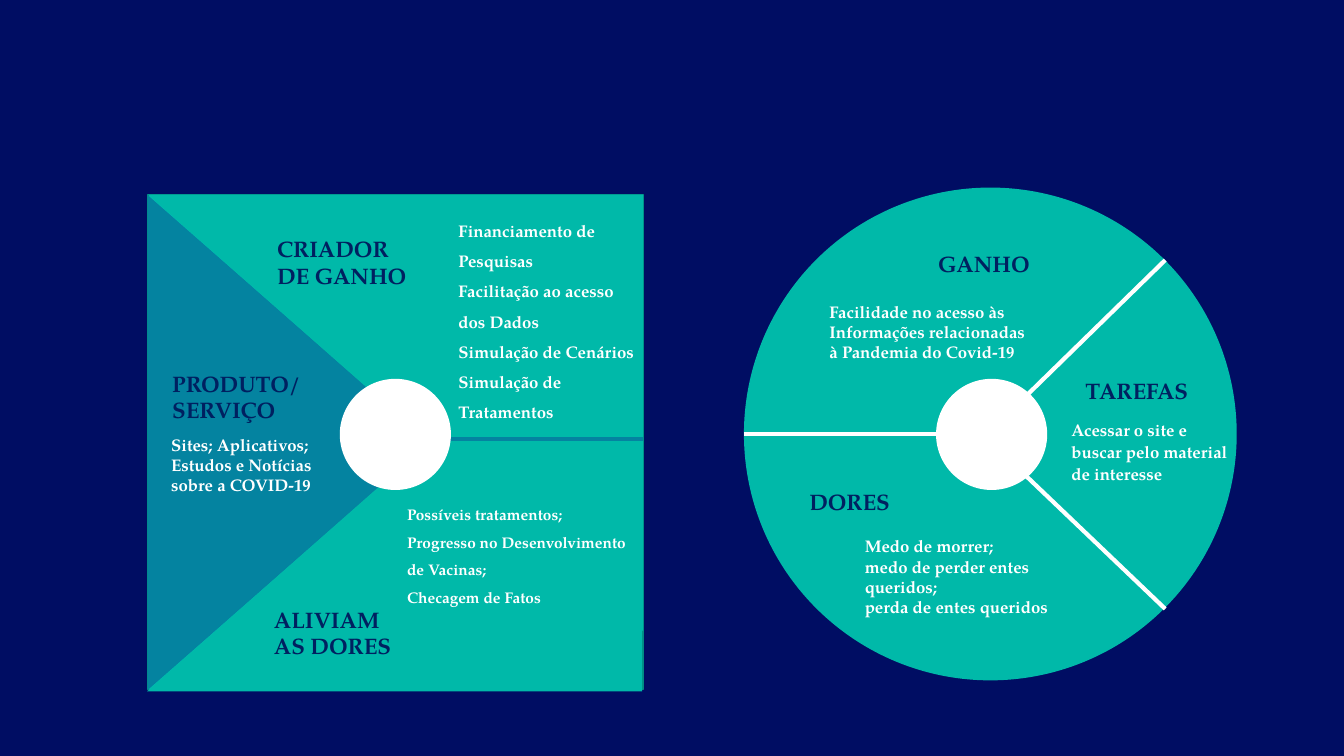
"""Build a value proposition canvas slide: offer square and customer circle."""
from pptx import Presentation
from pptx.dml.color import RGBColor as RGB
from pptx.enum.shapes import MSO_CONNECTOR as CONN, MSO_SHAPE as SHAPE
from pptx.oxml.ns import qn
from pptx.util import Pt
from lxml.etree import SubElement

FONT = "TeX Gyre Pagella"
COLORS = {
    "back": "000D63", "square": "00BDB3", "edge": "008C84", "blue": "0483A0",
    "teal": "00B9A9", "white": "FFFFFF", "navy": "002060",
}

deck = Presentation()
deck.slide_width, deck.slide_height = Pt(960), Pt(540)
slide = deck.slides.add_slide(deck.slide_layouts[6])
slide.background.fill.solid()
slide.background.fill.fore_color.rgb = RGB.from_string(COLORS["back"])


def add_form(kind, box, color, turn=0):
    form = slide.shapes.add_shape(kind, *map(Pt, box))
    form.shadow.inherit = False
    form.fill.solid()
    form.fill.fore_color.rgb = RGB.from_string(COLORS[color])
    form.line.fill.background()
    form.rotation = turn
    return form


def add_text(box, lines, size, color, space=None):
    frame = slide.shapes.add_textbox(*map(Pt, box)).text_frame
    frame.word_wrap = True
    frame.text = "\n".join(lines)
    for para in frame.paragraphs:
        para.line_spacing = space
        for run in para.runs:
            run.font.name = FONT
            run.font.size = Pt(size)
            run.font.bold = True
            run.font.color.rgb = RGB.from_string(COLORS[color])


square = add_form(SHAPE.RECTANGLE, (105.8, 139, 353.5, 353.5), "square")
square.line.color.rgb = RGB.from_string(COLORS["edge"])
square.line.width = Pt(1)
add_form(SHAPE.ISOSCELES_TRIANGLE, (29.5, 215.3, 353.5, 201.6), "blue", 90)
upper = add_form(SHAPE.ISOSCELES_TRIANGLE, (105.8, 139, 353.5, 311.8), "teal", 180)
lower = add_form(SHAPE.ISOSCELES_TRIANGLE, (105.1, 182, 353.5, 311.8), "teal", 180)
upper.adjustments[0] = lower.adjustments[0] = 0
lower._element.spPr.xfrm.set("flipV", "1")

add_form(SHAPE.OVAL, (531.4, 134, 352, 352), "teal")

rays = [
    (282, 313.6, 459.4, 313.6, "blue"),
    (704.9, 313.2, 832.3, 434.9, "white"),
    (707.8, 307.4, 832.3, 185.8, "white"),
    (531.4, 310.3, 708.5, 310.3, "white"),
]
for *ends, color in rays:
    ray = slide.shapes.add_connector(CONN.STRAIGHT, *map(Pt, ends))
    ray.line.color.rgb = RGB.from_string(COLORS[color])
    ray.line.width = Pt(3)
    SubElement(ray._element.spPr, qn("a:effectLst"))

for left in (242.7, 668.6):
    add_form(SHAPE.OVAL, (left, 270.6, 79.4, 79.4), "white")

notes = [
    ((320.4, 146.9, 141.1, 157.7), 12, 1.5,
     ["Financiamento de Pesquisas", "Facilitação ao acesso dos Dados",
      "Simulação de Cenários", "Simulação de Tratamentos"]),
    ((283.7, 350.6, 177.8, 108.7), 11, 1.5,
     ["Possíveis tratamentos;", "Progresso no Desenvolvimento de Vacinas;",
      "Checagem de Fatos"]),
    ((115.2, 306.7, 123.8, 51.1), 12, None,
     ["Sites; Aplicativos; Estudos e Notícias sobre a COVID-19"]),
    ((585.4, 211.7, 160.6, 51.1), 12, None,
     ["Facilidade no acesso às Informações relacionadas à Pandemia do Covid-19"]),
    ((610.6, 379.4, 166.3, 65.5), 12, None,
     ["Medo de morrer;", "medo de perder entes queridos;",
      "perda de entes queridos"]),
    ((758.2, 294.5, 132.5, 56), 12, Pt(16),
     ["Acessar o site e buscar pelo material de interesse"]),
]
for box, size, space, lines in notes:
    add_text(box, lines, size, "white", space)

heads = [
    ((115.9, 260.6, 108.7, 46.1), "PRODUTO/SERVIÇO"),
    ((190.8, 164.2, 108.7, 46.1), "CRIADOR DE GANHO"),
    ((188.6, 429.1, 108.7, 46.1), "ALIVIAM AS DORES"),
    ((663.1, 175, 84.2, 26.6), "GANHO"),
    ((768.2, 265.7, 95, 26.6), "TAREFAS"),
    ((571, 344.9, 74.9, 26.6), "DORES"),
]
for box, head in heads:
    add_text(box, [head], 16, "navy")

deck.save("out.pptx")
